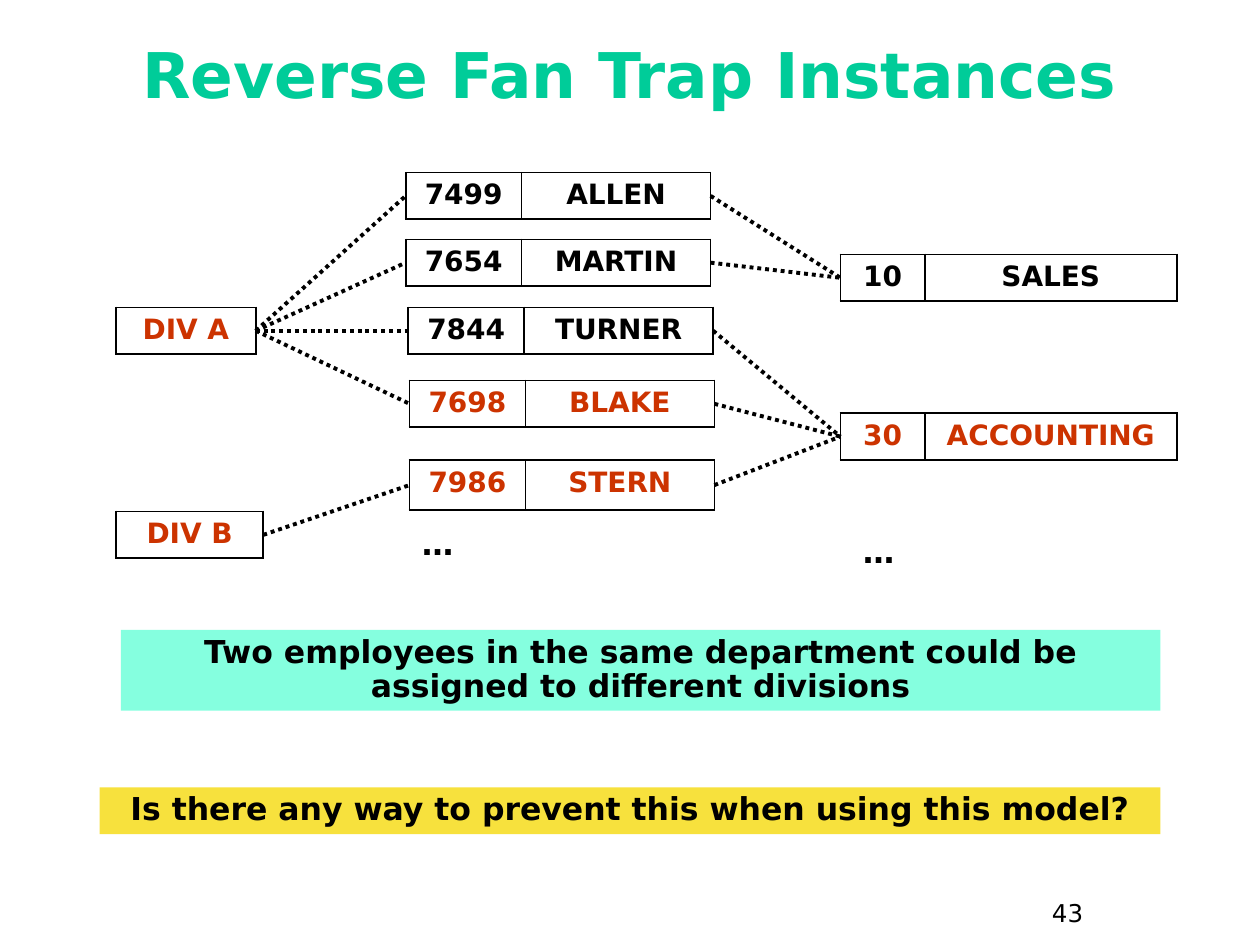
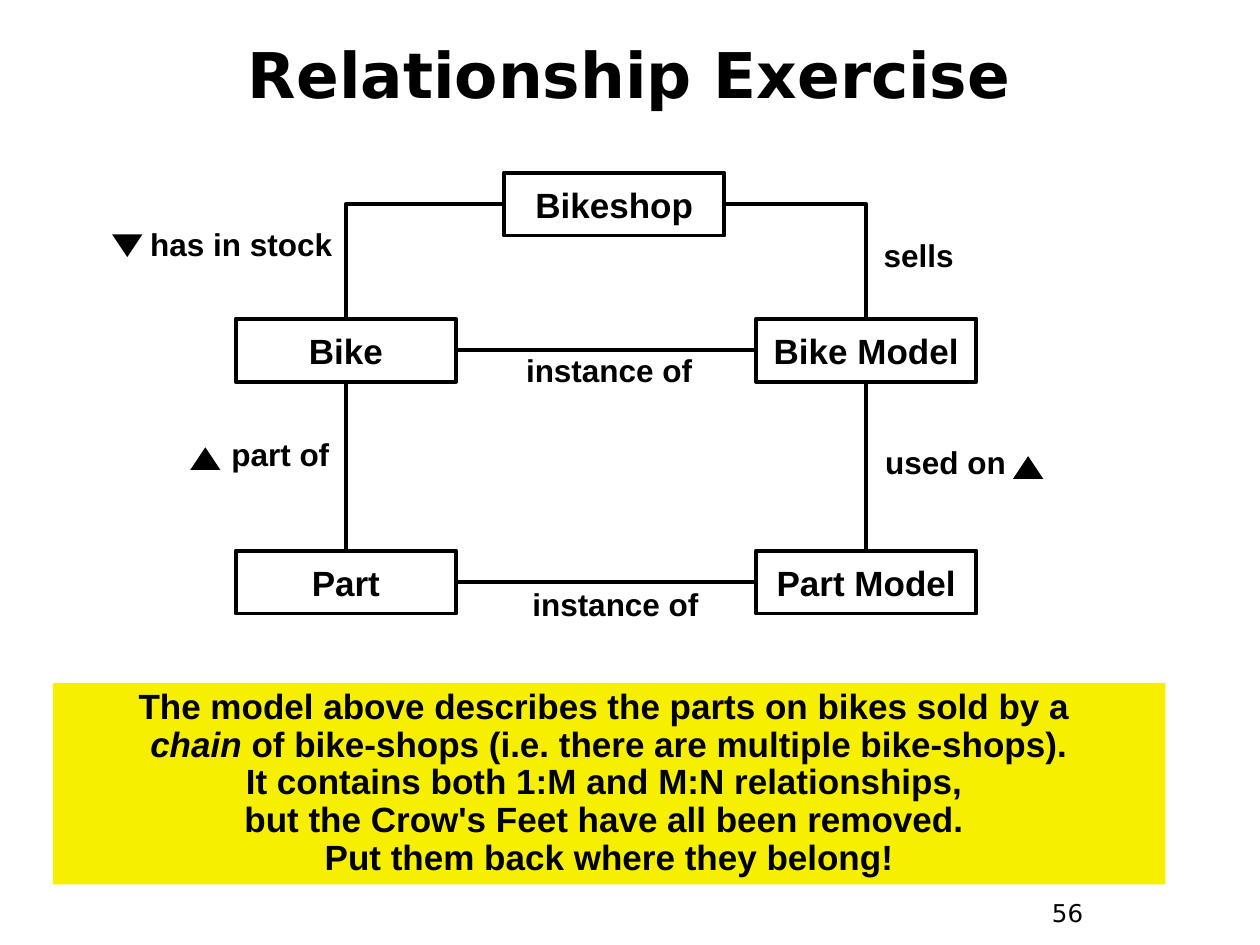
import pptx
import pptx.util
import pptx.dml.color
import pptx.enum.dml
import pptx.enum.shapes
import pptx.enum.text
import pptx.oxml
import pptx.oxml.ns

Inches = pptx.util.Inches
Pt = pptx.util.Pt
SHAPES = pptx.enum.shapes.MSO_SHAPE
CONNECTORS = pptx.enum.shapes.MSO_CONNECTOR
ALIGN = pptx.enum.text.PP_ALIGN
ANCHOR = pptx.enum.text.MSO_ANCHOR

COLORS = {
    "black": "000000", "green": "00CC99", "red": "CC3300",
    "mint": "85FFDF", "gold": "F7E13D", "yellow": "F6F000",
}

FONTS = {
    "title": {"name": "DejaVu Sans", "size": Pt(36), "bold": True},
    "number": {"name": "DejaVu Sans", "size": Pt(14), "bold": False},
    "record": {"name": "DejaVu Sans", "size": Pt(16), "bold": True},
    "remark": {"name": "DejaVu Sans", "size": Pt(18), "bold": True},
    "entity": {"name": "Arial", "size": Pt(20), "bold": True},
    "relation": {"name": "Arial", "size": Pt(18), "bold": True},
}

# Fan trap: column widths by kind of record, then left, top, height, values, color
EMPLOYEE, DEPARTMENT = (0.92, 1.5), (0.67, 2)
RECORDS = {
    "A": (0.92, 2.44, 0.37, (1.11,), ["DIV A"], "red"),
    "B": (0.92, 4.06, 0.37, (1.17,), ["DIV B"], "red"),
    "Allen": (3.22, 1.37, 0.37, EMPLOYEE, ["7499", "ALLEN"], "black"),
    "Martin": (3.22, 1.9, 0.37, EMPLOYEE, ["7654", "MARTIN"], "black"),
    "Turner": (3.24, 2.44, 0.37, EMPLOYEE, ["7844", "TURNER"], "black"),
    "Blake": (3.25, 3.02, 0.37, EMPLOYEE, ["7698", "BLAKE"], "red"),
    "Stern": (3.25, 3.65, 0.4, EMPLOYEE, ["7986", "STERN"], "red"),
    "Sales": (6.67, 2.02, 0.37, DEPARTMENT, ["10", "SALES"], "black"),
    "Accounting": (6.67, 3.28, 0.37, DEPARTMENT, ["30", "ACCOUNTING"], "red"),
}
ASSIGNMENTS = [
    ("A", "Allen"), ("A", "Martin"), ("A", "Turner"), ("A", "Blake"), ("B", "Stern"),
    ("Allen", "Sales"), ("Martin", "Sales"),
    ("Turner", "Accounting"), ("Blake", "Accounting"), ("Stern", "Accounting"),
]
ELLIPSES = [(3.25, 4.14), (6.75, 4.21)]
REMARKS = [
    ((0.96, 5, 8.25, 0.64), "mint",
     "Two employees in the same department could be assigned to different divisions"),
    ((0.79, 6.25, 8.42, 0.37), "gold",
     "Is there any way to prevent this when using this model?"),
]

# Bike shop model: entity positions, relationships between connection sites
TOP, LEFT, BOTTOM, RIGHT = range(4)
ENTITY_SIZE = (1.75, 0.5)
ENTITIES = {
    "Bikeshop": (4, 1.37),
    "Bike": (1.87, 2.53), "Bike Model": (6, 2.53),
    "Part": (1.87, 4.37), "Part Model": (6, 4.37),
}
RELATIONSHIPS = [
    ("Bikeshop", LEFT, "Bike", TOP),
    ("Bikeshop", RIGHT, "Bike Model", TOP),
    ("Bike Model", BOTTOM, "Part Model", TOP),
    ("Bike", BOTTOM, "Part", TOP),
    ("Bike Model", LEFT, "Bike", RIGHT),
    ("Part Model", LEFT, "Part", RIGHT),
]
RELATION_LABELS = [
    ("has in stock", 1.08, 1.78, 1.67), ("part of", 1.39, 3.45, 1.67),
    ("sells", 6.83, 1.87, 0.92), ("used on", 6.67, 3.51, 1.67),
    ("instance of", 4, 2.78, 1.67), ("instance of", 4.05, 4.64, 1.67),
]
DIRECTION_MARKS = [(0.89, 1.86, 180), (1.51, 3.55, 0), (8.04, 3.62, 0)]
TASK_LINES = [
    [("The model above describes the parts on bikes sold by a ", False)],
    [("chain", True), (" of bike-shops (i.e. there are multiple bike-shops).", False)],
    [("It contains both 1:M and M:N relationships, ", False)],
    [("but the Crow's Feet have all been removed. ", False)],
    [("Put them back where they belong!", False)],
]


def rgb(color):
    return pptx.dml.color.RGBColor.from_string(COLORS[color])


def style_font(font, style, color="black"):
    for attribute, value in FONTS[style].items():
        setattr(font, attribute, value)
    font.color.rgb = rgb(color)


def write(frame, text, style, color="black", align=ALIGN.CENTER, spacing=None,
          anchor=ANCHOR.TOP, wrap=True):
    frame.word_wrap = wrap
    frame.vertical_anchor = anchor
    paragraph = frame.paragraphs[0]
    paragraph.alignment = align
    if spacing:
        paragraph.line_spacing = spacing
    run = paragraph.add_run()
    run.text = text
    style_font(run.font, style, color)


def add_text(slide, box, text, style, **options):
    shape = slide.shapes.add_textbox(*map(Inches, box))
    write(shape.text_frame, text, style, **options)


def add_box(slide, kind, box, fill=None, outline=False):
    shape = slide.shapes.add_shape(kind, *map(Inches, box))
    shape.shadow.inherit = False
    if fill:
        shape.fill.solid()
        shape.fill.fore_color.rgb = rgb(fill)
    else:
        shape.fill.background()
    if outline:
        shape.line.color.rgb = rgb("black")
        shape.line.width = Pt(2.25)
    else:
        shape.line.fill.background()
    return shape


def add_line(slide, kind, points=(0, 0, 0, 0)):
    line = slide.shapes.add_connector(kind, *map(Inches, points))
    line.line.color.rgb = rgb("black")
    line.line.width = Pt(2.25)
    properties = line._element.spPr
    properties.append(pptx.oxml.parse_xml(
        f"<a:effectLst {pptx.oxml.ns.nsdecls('a')}/>"))
    return line


def add_border(cell):
    properties = cell._tc.get_or_add_tcPr()
    for index, side in enumerate(("lnL", "lnR", "lnT", "lnB")):
        properties.insert(index, pptx.oxml.parse_xml(
            f'<a:{side} {pptx.oxml.ns.nsdecls("a")} w="{Pt(1.08)}"><a:solidFill>'
            f'<a:srgbClr val="{COLORS["black"]}"/></a:solidFill></a:{side}>'))


def add_record(slide, left, top, height, widths, values, color):
    box = map(Inches, (left, top, sum(widths), height))
    table = slide.shapes.add_table(1, len(widths), *box).table
    table.first_row = table.horz_banding = False
    for column, width, cell, value in zip(table.columns, widths, table.rows[0].cells, values):
        column.width = Inches(width)
        cell.fill.background()
        add_border(cell)
        write(cell.text_frame, value, "record", color)


def add_slide(presentation, title, number, color):
    slide = presentation.slides.add_slide(presentation.slide_layouts[5])
    shape = slide.shapes.title
    shape.left, shape.top, shape.width, shape.height = map(Inches, (0.33, 0.17, 9.33, 0.83))
    shape.text_frame.auto_size = pptx.enum.text.MSO_AUTO_SIZE.NONE
    write(shape.text_frame, title, "title", color, anchor=ANCHOR.MIDDLE)
    add_text(slide, (8.25, 7.08, 0.75, 0.37), number, "number", align=ALIGN.LEFT)
    return slide


def build_fan_trap(presentation):
    slide = add_slide(presentation, "Reverse Fan Trap Instances", "43", "green")
    for record in RECORDS.values():
        add_record(slide, *record)

    # Dotted lines run from the right middle of one record to the left middle of the next
    for source, target in ASSIGNMENTS:
        left, top, height, widths = RECORDS[source][:4]
        end_left, end_top, end_height = RECORDS[target][:3]
        line = add_line(slide, CONNECTORS.STRAIGHT, (
            left + sum(widths), top + height / 2, end_left, end_top + end_height / 2))
        line.line.dash_style = pptx.enum.dml.MSO_LINE.ROUND_DOT

    for left, top in ELLIPSES:
        add_text(slide, (left, top, 1.83, 0.37), "…", "remark",
                 align=ALIGN.LEFT, spacing=0.9)
    for box, fill, text in REMARKS:
        shape = add_box(slide, SHAPES.RECTANGLE, box, fill)
        write(shape.text_frame, text, "remark", spacing=0.9)


def build_exercise(presentation):
    slide = add_slide(presentation, "Relationship Exercise", "56", "black")
    entities = {}
    for name, position in ENTITIES.items():
        shape = add_box(slide, SHAPES.RECTANGLE, position + ENTITY_SIZE, outline=True)
        write(shape.text_frame, name, "entity", anchor=ANCHOR.MIDDLE, wrap=False)
        entities[name] = shape

    # A side joined to a top needs one bend
    for source, source_site, target, target_site in RELATIONSHIPS:
        bent = source_site in (LEFT, RIGHT) and target_site == TOP
        line = add_line(slide, CONNECTORS.ELBOW if bent else CONNECTORS.STRAIGHT)
        line.begin_connect(entities[source], source_site)
        line.end_connect(entities[target], target_site)
        if bent:
            line._element.spPr.prstGeom.set("prst", "bentConnector2")

    for text, left, top, width in RELATION_LABELS:
        add_text(slide, (left, top, width, 0.36), text, "relation", spacing=0.85)
    for left, top, rotation in DIRECTION_MARKS:
        mark = add_box(slide, SHAPES.ISOSCELES_TRIANGLE, (left, top, 0.24, 0.18), "black")
        mark.rotation = rotation

    # Task
    task = add_box(slide, SHAPES.RECTANGLE, (0.42, 5.42, 8.83, 1.6), "yellow")
    task.text_frame.word_wrap = True
    task.text_frame.vertical_anchor = ANCHOR.TOP
    paragraph = task.text_frame.paragraphs[0]
    paragraph.alignment = ALIGN.CENTER
    paragraph.line_spacing = 0.9
    for index, parts in enumerate(TASK_LINES):
        if index:
            paragraph.add_line_break()
        for text, italic in parts:
            run = paragraph.add_run()
            run.text = text
            style_font(run.font, "entity")
            run.font.italic = italic


def main():
    presentation = pptx.Presentation()
    presentation.slide_width = Inches(10)
    presentation.slide_height = Inches(7.5)
    build_fan_trap(presentation)
    build_exercise(presentation)
    presentation.save("out.pptx")


if __name__ == "__main__":
    main()
